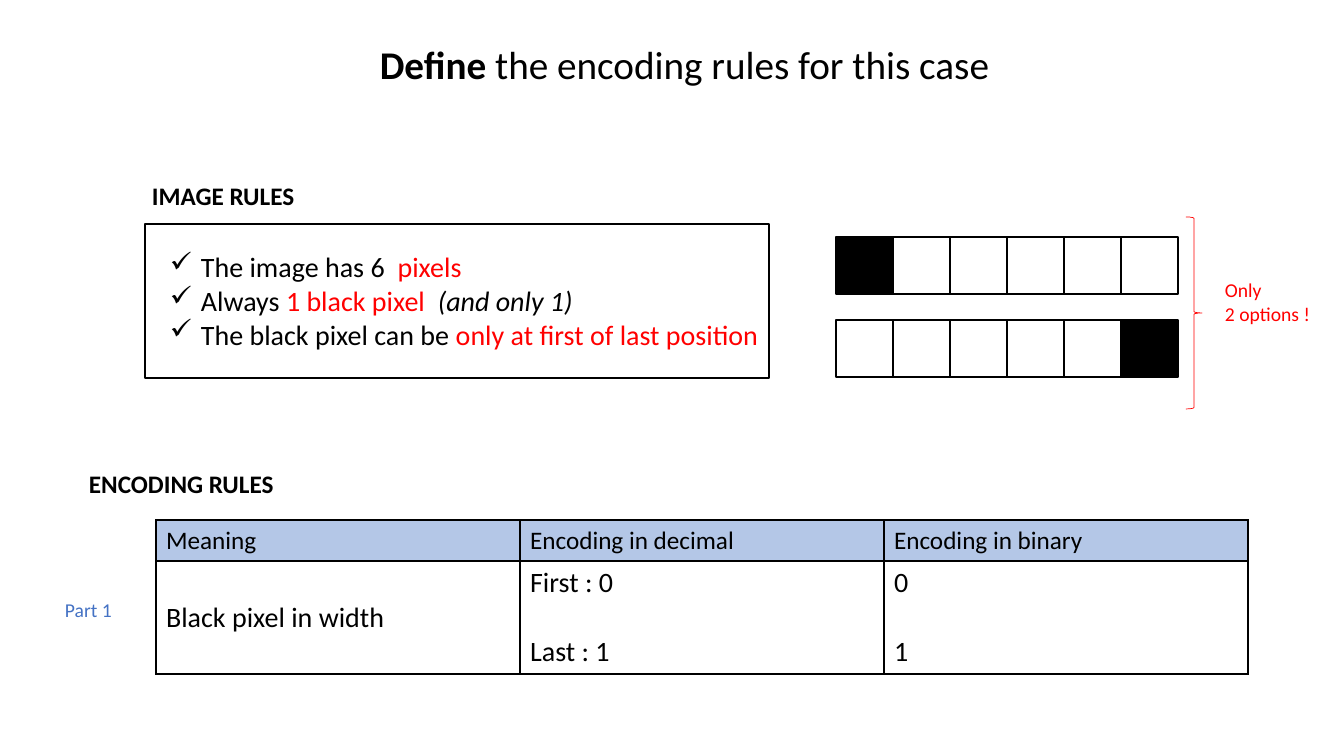
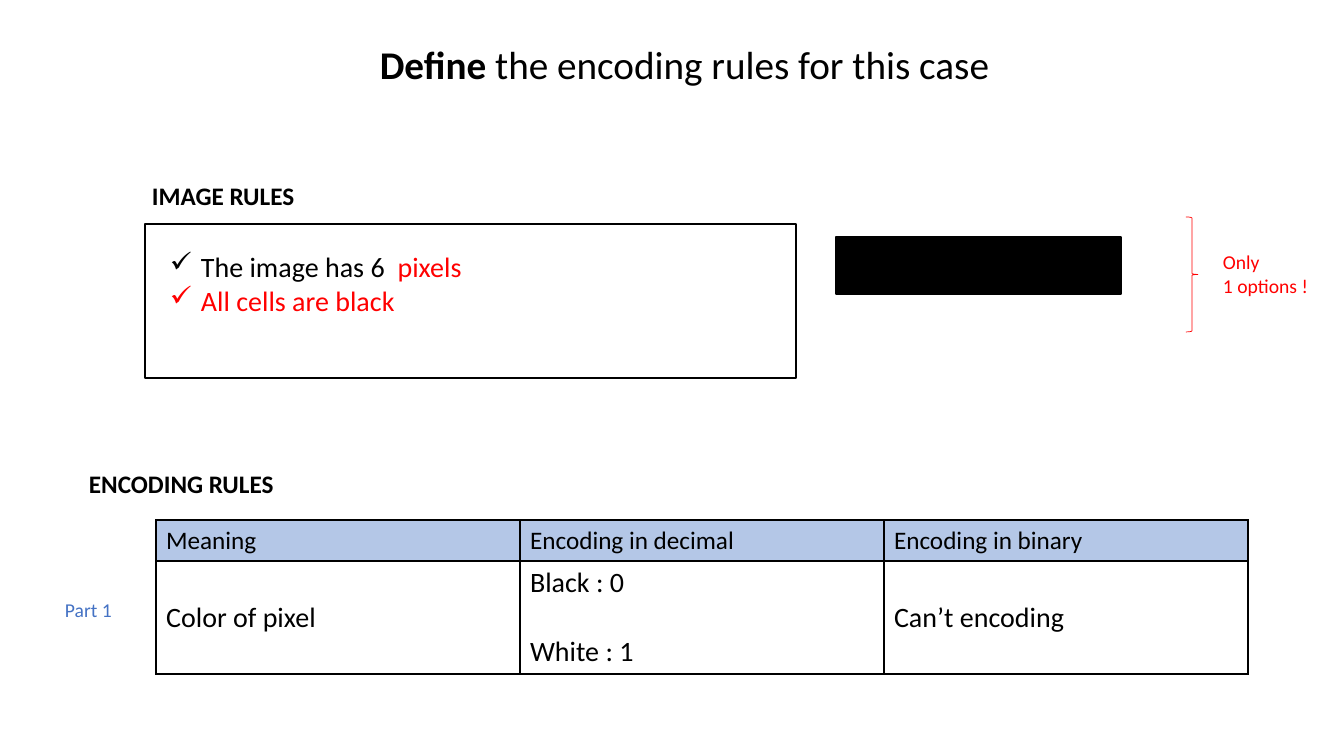
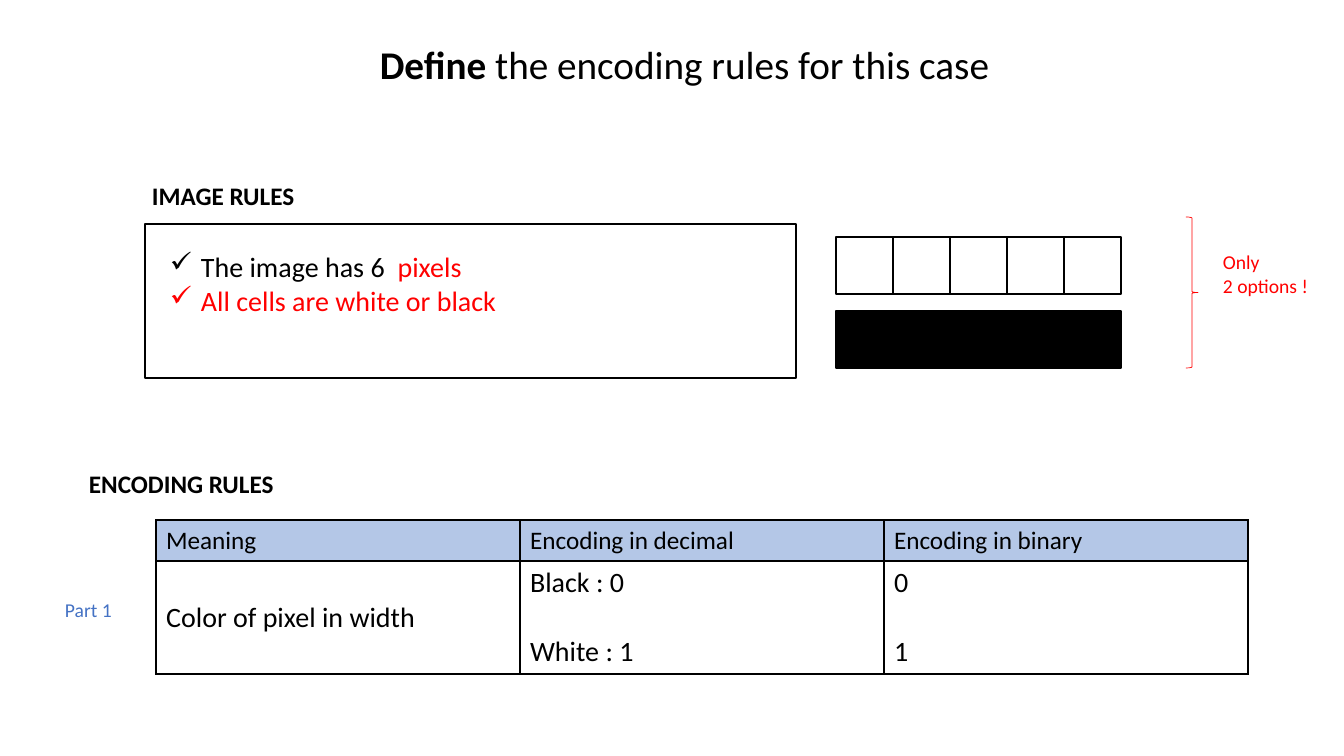
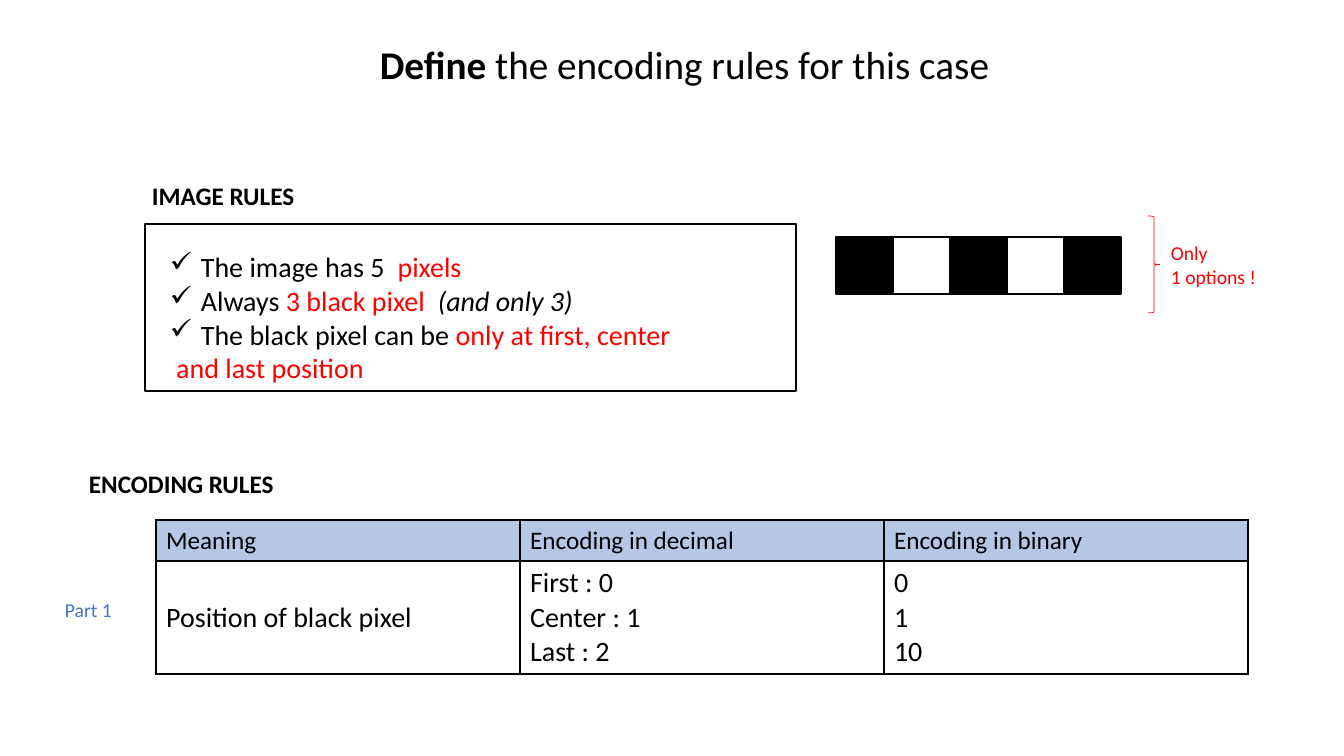
from dataclasses import dataclass

import pptx
import pptx.dml.color
import pptx.enum.shapes
import pptx.enum.text
import pptx.oxml
import pptx.oxml.ns
import pptx.util

SCALE = 914400 / 100.8
SHAPES = pptx.enum.shapes.MSO_SHAPE
ANCHOR = pptx.enum.text.MSO_ANCHOR
ALIGN = pptx.enum.text.PP_ALIGN


@dataclass(frozen=True)
class Theme:
    font: str = "Calibri"
    ink: str = "000000"
    paper: str = "FFFFFF"
    accent: str = "FF0000"
    row_label: str = "4472C4"
    header: str = "B4C7E7"
    title_size: int = 28
    heading_size: int = 18
    body_size: int = 20
    note_size: int = 14
    blank_line: float = 24.4
    line: float = 1
    brace_line: float = 0.5


THEME = Theme()


def px(length):
    return pptx.util.Emu(round(length * SCALE))


def place(box):
    return [px(length) for length in box]


def rgb(color):
    return pptx.dml.color.RGBColor.from_string(color)


def style(font, size, color=THEME.ink, bold=False):
    font.name = THEME.font
    font.size = pptx.util.Pt(size)
    font.color.rgb = rgb(color)
    font.bold = bold


def add_lines(frame, lines, size, color=THEME.ink, bold=False, gap=0):
    for index, line in enumerate(lines):
        paragraph = frame.add_paragraph() if index else frame.paragraphs[0]
        paragraph.text = line
        style(paragraph.font, size, color, bold)
        if index and gap:
            paragraph.space_before = pptx.util.Pt(gap)


def add_label(slide, box, lines, size, color=THEME.ink, bold=False):
    frame = slide.shapes.add_textbox(*place(box)).text_frame
    frame.word_wrap = False
    add_lines(frame, lines, size, color, bold)


def add_outline(slide, kind, box, fill=None, line=THEME.ink, width=THEME.line):
    outline = slide.shapes.add_shape(kind, *place(box))
    outline.shadow.inherit = False
    if fill:
        outline.fill.solid()
        outline.fill.fore_color.rgb = rgb(fill)
    else:
        outline.fill.background()
    outline.line.color.rgb = rgb(line)
    outline.line.width = pptx.util.Pt(width)


def add_title(slide, box):
    title = slide.shapes.title
    title.left, title.top, title.width, title.height = place(box)
    frame = title.text_frame
    frame.word_wrap = True
    frame.auto_size = pptx.enum.text.MSO_AUTO_SIZE.NONE
    frame.vertical_anchor = ANCHOR.TOP
    paragraph = frame.paragraphs[0]
    paragraph.alignment = ALIGN.CENTER
    style(paragraph.font, THEME.title_size)
    for text, bold in (("Define", True), (" the encoding rules for this case", False)):
        run = paragraph.add_run()
        run.text = text
        run.font.bold = bold


def add_check(paragraph, color):
    properties = paragraph._p.get_or_add_pPr()
    indent = px(31)
    properties.set("marL", str(indent))
    properties.set("indent", str(-indent))
    namespace = pptx.oxml.ns.nsdecls("a")
    for markup in (
        f'<a:buClr {namespace}><a:srgbClr val="{color}"/></a:buClr>',
        f'<a:buChar {namespace} char="\u2713"/>',
    ):
        properties.append(pptx.oxml.parse_xml(markup))


def add_image_rules(slide, box, rules, text_size):
    left, top, width, height = box
    add_label(slide, (left - 3, top - 49, 164, 40), ["IMAGE RULES"],
              THEME.heading_size, bold=True)
    add_outline(slide, SHAPES.RECTANGLE, box)
    text_box = slide.shapes.add_textbox(*place((left + 15, top + 21, *text_size)))
    frame = text_box.text_frame
    frame.word_wrap = False
    for index, (checked, runs) in enumerate(rules):
        paragraph = frame.add_paragraph() if index else frame.paragraphs[0]
        if checked:
            add_check(paragraph, runs[0][1])
        style(paragraph.font, THEME.body_size)
        for text, color, italic in runs:
            run = paragraph.add_run()
            run.text = text
            run.font.color.rgb = rgb(color)
            run.font.italic = italic


def add_pixel_rows(slide, left, top, rows, pitch):
    cell = 57
    for row, pixels in enumerate(rows):
        for column, pixel in enumerate(pixels):
            add_outline(slide, SHAPES.RECTANGLE,
                        (left + column * cell, top + row * pitch, cell, cell),
                        THEME.ink if pixel == "#" else THEME.paper)


def add_options(slide, brace, note, count):
    add_outline(slide, SHAPES.RIGHT_BRACE, brace, line=THEME.accent,
                width=THEME.brace_line)
    add_label(slide, (*note, 106, 57), ["Only", f"{count} options !"],
              THEME.note_size, THEME.accent)


def set_borders(cell):
    properties = cell._tc.get_or_add_tcPr()
    width = pptx.util.Pt(THEME.line)
    for index, side in enumerate(("lnL", "lnR", "lnT", "lnB")):
        properties.insert(index, pptx.oxml.parse_xml(
            f'<a:{side} {pptx.oxml.ns.nsdecls("a")} w="{width}"><a:solidFill>'
            f'<a:srgbClr val="{THEME.ink}"/></a:solidFill></a:{side}>'))


def add_encoding_rules(slide, box, answers):
    left, top, width, height = box
    add_label(slide, (left - 77, top - 57, 208, 40), ["ENCODING RULES"],
              THEME.heading_size, bold=True)
    add_label(slide, (left - 101, top + 73, 68, 34), ["Part 1"],
              THEME.note_size, THEME.row_label)
    headers = [["Meaning"], ["Encoding in decimal"], ["Encoding in binary"]]
    encoding = slide.shapes.add_table(2, len(headers), *place(box)).table
    encoding.first_row = encoding.horz_banding = False
    header_height = 41
    encoding.rows[0].height = px(header_height)
    encoding.rows[1].height = px(height - header_height)
    for column in encoding.columns:
        column.width = px(width / len(headers))
    for row, contents in enumerate((headers, answers)):
        for column, lines in enumerate(contents):
            cell = encoding.cell(row, column)
            if row:
                cell.fill.background()
                cell.vertical_anchor = ANCHOR.MIDDLE
            else:
                cell.fill.solid()
                cell.fill.fore_color.rgb = rgb(THEME.header)
            set_borders(cell)
            add_lines(cell.text_frame, lines,
                      THEME.body_size if row else THEME.heading_size,
                      gap=THEME.blank_line if len(lines) == 2 else 0)


def plain(text):
    return text, THEME.ink, False


def marked(text):
    return text, THEME.accent, False


def aside(text):
    return text, THEME.ink, True


def size_rule(count):
    return True, [plain(f"The image has {count}  "), marked("pixels")]


def count_rule(count):
    return True, [plain("Always "), marked(f"{count} black pixel  "),
                  aside(f"(and only {count})")]


def position_rule(position):
    return True, [plain("The black pixel can be "), marked(position)]


CASES = [
    dict(rules=[size_rule(6), count_rule(1),
                position_rule("only at first of last position")],
         frame=(624, 154), text_size=(615, 112),
         rows=["#-----", "-----#"], pitch=83,
         brace=(1186, 217, 16, 192), note=(1215, 273),
         answers=[["Black pixel in width"], ["First : 0", "Last : 1"], ["0", "1"]]),
    dict(rules=[size_rule(6), (True, [marked("All cells are black ")])],
         frame=(651, 154), text_size=(316, 78),
         rows=["#####"], pitch=74,
         brace=(1186, 217, 12, 115), note=(1213, 245),
         answers=[["Color of pixel"], ["Black : 0", "White : 1"],
                  ["Can\u2019t encoding"]]),
    dict(rules=[size_rule(6), (True, [marked("All cells are white or black")])],
         frame=(651, 154), text_size=(351, 78),
         rows=["-----", "#####"], pitch=74,
         brace=(1186, 217, 12, 151), note=(1213, 245),
         answers=[["Color of pixel in width"], ["Black : 0", "White : 1"],
                  ["0", "1"]]),
    dict(rules=[size_rule(5), count_rule(3),
                position_rule("only at first, center"),
                (False, [marked(" and last position")])],
         frame=(651, 167), text_size=(526, 146),
         rows=["#-#-#"], pitch=74,
         brace=(1148, 216, 12, 97), note=(1161, 236),
         answers=[["Position of black pixel"],
                  ["First : 0", "Center : 1", "Last : 2"], ["0", "1", "10"]]),
]


def add_case(deck, case):
    slide = deck.slides.add_slide(deck.slide_layouts[5])
    add_title(slide, (302, 35, 765, 57))
    add_encoding_rules(slide, (156, 520, 1092, 154), case["answers"])
    add_image_rules(slide, (145, 224, *case["frame"]), case["rules"],
                    case["text_size"])
    add_pixel_rows(slide, 836, 237, case["rows"], case["pitch"])
    add_options(slide, case["brace"], case["note"], len(case["rows"]))


deck = pptx.Presentation()
deck.slide_width, deck.slide_height = px(1344), px(756)
for case in CASES:
    add_case(deck, case)
deck.save("out.pptx")
